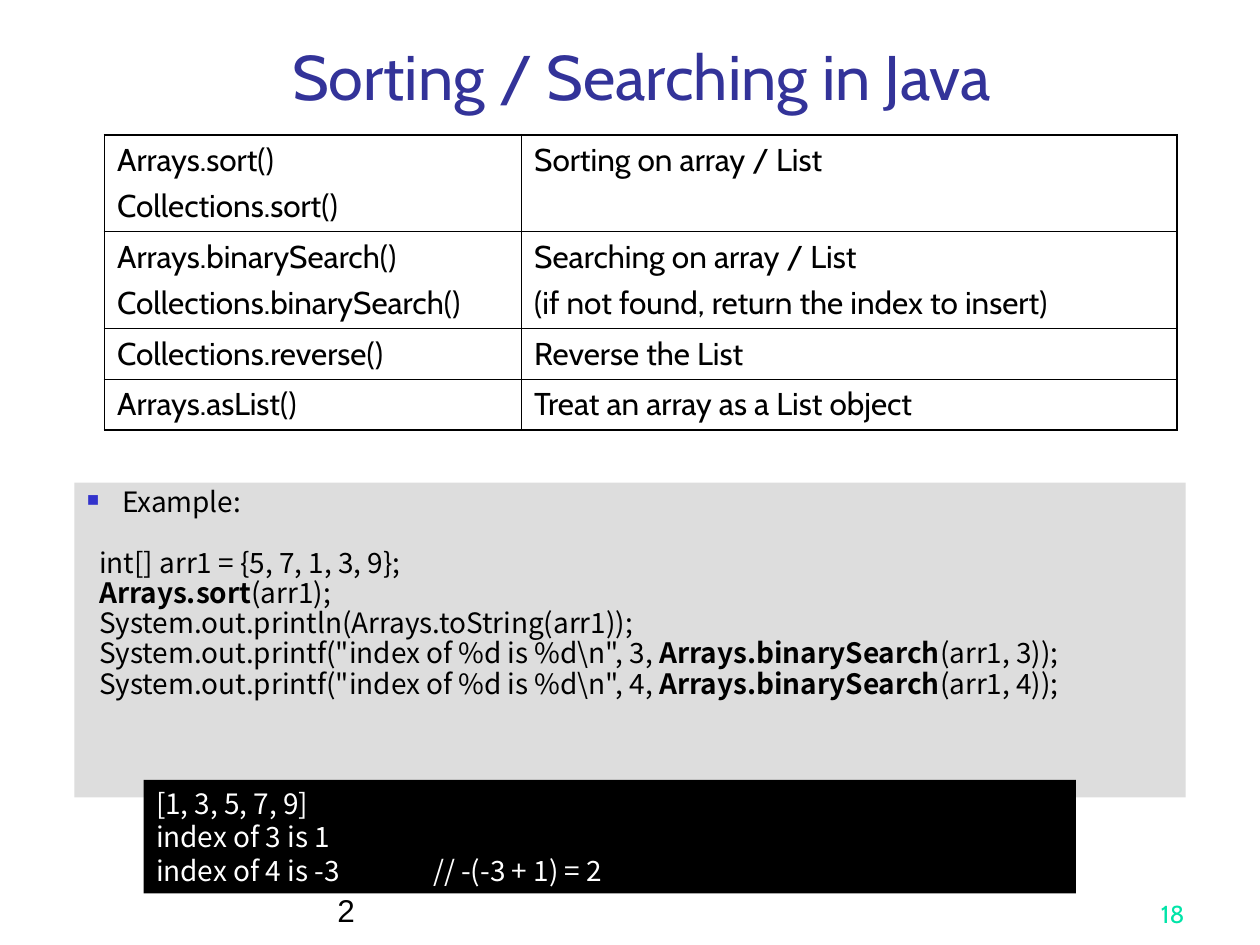
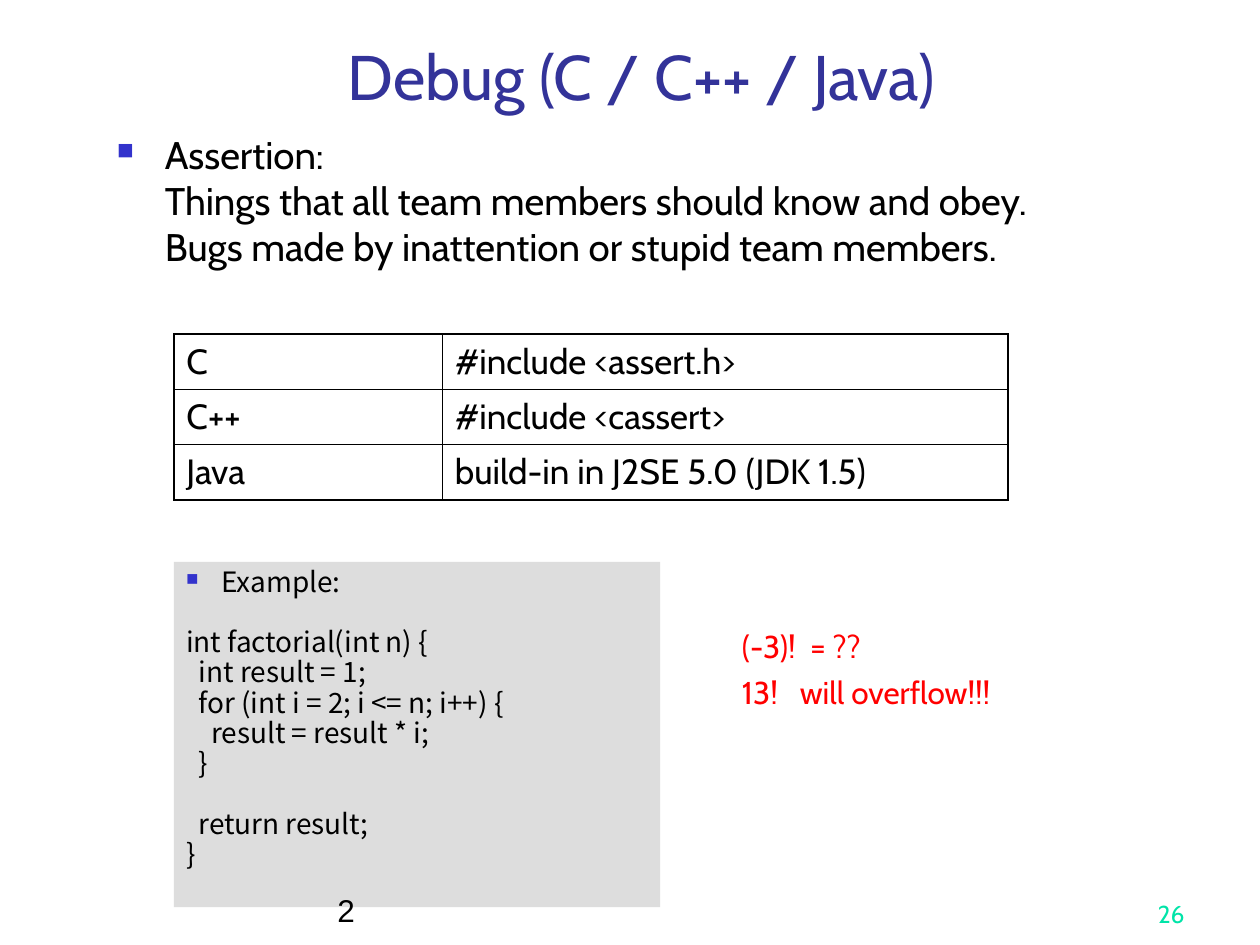
"""Build two slides on sorting, searching and assertions in Java."""
import pptx
import pptx.dml.color
import pptx.enum.shapes
import pptx.enum.text
import pptx.oxml.ns
import pptx.util
from lxml import etree

Inches = pptx.util.Inches
Pt = pptx.util.Pt
qn = pptx.oxml.ns.qn
ALIGN = pptx.enum.text.PP_ALIGN
ANCHOR = pptx.enum.text.MSO_ANCHOR

COLORS = {
    "title": "333399", "text": "000000", "bullet": "3333CC", "code_panel": "DDDDDD",
    "console": "000000", "console_text": "FFFFFF", "warning": "FF0000", "page": "00E4A8",
}
BODY_FONT, CODE_FONT, FOOTER_FONT = "Cabin", "Noto Sans CJK SC", "Arial"
CODE_SIZE = 16
BLANK_LINE = 17.3
OUTER_BORDER, INNER_BORDER = 1.08, 0.45

SORTING = {
    "title": "Sorting / Searching in Java",
    "page": "18",
    "table": {
        "place": (0.83, 1.07), "columns": (3.31, 5.2), "rows": (0.77, 0.77, 0.4, 0.4),
        "size": 18, "gap": 4.5,
        "cells": [
            (["Arrays.sort()", "Collections.sort()"], ["Sorting on array / List"]),
            (["Arrays.binarySearch()", "Collections.binarySearch()"],
             ["Searching on array / List", "(if not found, return the index to insert)"]),
            (["Collections.reverse()"], ["Reverse the List"]),
            (["Arrays.asList()"], ["Treat an array as a List object"]),
        ],
    },
    "code_place": (0.59, 3.83, 8.82, 2.5),
    "code": [
        "  int[] arr1 = {5, 7, 1, 3, 9};",
        "  **Arrays.sort**(arr1);",
        "  System.out.println(Arrays.toString(arr1));",
        '  System.out.printf("index of %d is %d\\n", 3, **Arrays.binarySearch**(arr1, 3));',
        '  System.out.printf("index of %d is %d\\n", 4, **Arrays.binarySearch**(arr1, 4));',
    ],
}
CONSOLE_LINES = ["[1, 3, 5, 7, 9]", "index of 3 is 1", "index of 4 is -3\t// -(-3 + 1) = 2"]

DEBUG = {
    "title": "Debug (C / C++ / Java)",
    "page": "26",
    "table": {
        "place": (1.38, 2.65), "columns": (2.13, 4.49), "rows": (0.44, 0.44, 0.44),
        "size": 20, "gap": 5,
        "cells": [
            (["C"], ["#include <assert.h>"]),
            (["C++"], ["#include <cassert>"]),
            (["Java"], ["build-in in J2SE 5.0 (JDK 1.5)"]),
        ],
    },
    "code_place": (1.38, 4.46, 3.86, 2.74),
    "code": [
        "int factorial(int n) {",
        "  int result = 1;",
        "  for (int i = 2; i <= n; i++) {",
        "    result = result * i;",
        "  }",
        "",
        "  return result;",
        "}",
    ],
}
ASSERTION = ("Assertion:\vThings that all team members should know and obey.\v"
             "Bugs made by inattention or stupid team members.")
WARNINGS = [("(-3)!\t= ??", 0.54), ("13!\twill overflow!!!", 0.46)]


def rgb(name):
    """Return the named colour."""
    return pptx.dml.color.RGBColor.from_string(COLORS[name])


def add_bullet(paragraph, indent):
    """Give a paragraph a square bullet with a hanging indent."""
    properties = paragraph._p.get_or_add_pPr()
    properties.set("marL", str(Inches(indent)))
    properties.set("indent", str(-Inches(indent)))
    color = etree.SubElement(properties, qn("a:buClr"))
    etree.SubElement(color, qn("a:srgbClr"), val=COLORS["bullet"])
    etree.SubElement(properties, qn("a:buSzPct"), val="60000")
    etree.SubElement(properties, qn("a:buChar"), char="■")


def add_tab(paragraph, position):
    """Set a left tab stop in a paragraph."""
    stops = etree.SubElement(paragraph._p.get_or_add_pPr(), qn("a:tabLst"))
    etree.SubElement(stops, qn("a:tab"), pos=str(Inches(position)), algn="l")


def write(frame, text, *, size, font=BODY_FONT, color="text", align=ALIGN.LEFT,
          before=0, spacing=None, bullet=None, tab=None):
    """Append one paragraph, with the parts between double stars in bold."""
    first = frame.paragraphs[0]
    is_first = not first.runs
    paragraph = first if is_first else frame.add_paragraph()
    if bullet:
        add_bullet(paragraph, bullet)
    if tab:
        add_tab(paragraph, tab)
    paragraph.alignment = align
    if before and not is_first:
        paragraph.space_before = Pt(before)
    if spacing:
        paragraph.line_spacing = spacing
    for position, part in enumerate(text.split("**")):
        for line_number, line in enumerate(part.split("\v")):
            if line_number:
                paragraph.add_line_break()
            if not line:
                continue
            run = paragraph.add_run()
            run.text = line
            run.font.size = Pt(size)
            run.font.name = font
            run.font.bold = position % 2 == 1
            run.font.color.rgb = rgb(color)


def add_frame(slide, place, fill=None, anchor=ANCHOR.TOP):
    """Add a text box, or a filled rectangle, and return its text frame."""
    box = [Inches(length) for length in place]
    if fill:
        shape = slide.shapes.add_shape(pptx.enum.shapes.MSO_SHAPE.RECTANGLE, *box)
        shape.shadow.inherit = False
        shape.fill.solid()
        shape.fill.fore_color.rgb = rgb(fill)
        shape.line.fill.background()
    else:
        shape = slide.shapes.add_textbox(*box)
    frame = shape.text_frame
    frame.word_wrap = True
    frame.vertical_anchor = anchor
    return frame


def set_borders(cell, widths):
    """Draw the left, right, top and bottom borders of a cell."""
    properties = cell._tc.get_or_add_tcPr()
    for index, (side, width) in enumerate(zip(("lnL", "lnR", "lnT", "lnB"), widths)):
        line = etree.Element(qn("a:" + side), w=str(Pt(width)))
        fill = etree.SubElement(line, qn("a:solidFill"))
        etree.SubElement(fill, qn("a:srgbClr"), val=COLORS["text"])
        properties.insert(index, line)


def add_grid(slide, content):
    """Add a plain table with heavier outer borders."""
    columns, rows = content["columns"], content["rows"]
    box = [Inches(length) for length in (*content["place"], sum(columns), sum(rows))]
    table = slide.shapes.add_table(len(rows), len(columns), *box).table
    table.first_row = table.horz_banding = False
    for column, width in zip(table.columns, columns):
        column.width = Inches(width)
    for row, height in zip(table.rows, rows):
        row.height = Inches(height)
    for row_index, row_cells in enumerate(content["cells"]):
        for column_index, lines in enumerate(row_cells):
            cell = table.cell(row_index, column_index)
            cell.fill.background()
            edges = (column_index == 0, column_index == len(columns) - 1,
                     row_index == 0, row_index == len(rows) - 1)
            set_borders(cell, [OUTER_BORDER if edge else INNER_BORDER for edge in edges])
            for line in lines:
                write(cell.text_frame, line, size=content["size"], before=content["gap"])


def add_code(slide, place, lines):
    """Add a grey panel with an example heading and code."""
    frame = add_frame(slide, place, fill="code_panel")
    style = {"size": CODE_SIZE, "font": CODE_FONT, "spacing": 0.9}
    write(frame, "Example:", bullet=0.28, **style)
    gap = BLANK_LINE
    for line in lines:
        if line:
            write(frame, line, before=gap, **style)
        gap = 0 if line else BLANK_LINE


def add_slide(presentation, content):
    """Add a slide with its title, table, code panel and footers."""
    slide = presentation.slides.add_slide(presentation.slide_layouts[6])
    title = add_frame(slide, (0.83, 0.21, 8.52, 0.74), anchor=ANCHOR.BOTTOM)
    write(title, content["title"], size=36, color="title", align=ALIGN.CENTER)
    add_grid(slide, content["table"])
    add_code(slide, content["code_place"], content["code"])
    footer = add_frame(slide, (2.58, 6.92, 5.42, 0.5), anchor=ANCHOR.BOTTOM)
    write(footer, "2", size=18, font=FOOTER_FONT)
    page = add_frame(slide, (7.42, 6.92, 2.08, 0.5), anchor=ANCHOR.BOTTOM)
    write(page, content["page"], size=14, color="page", align=ALIGN.RIGHT)
    return slide


def main():
    """Build and save the presentation."""
    presentation = pptx.Presentation()
    presentation.slide_width, presentation.slide_height = Inches(10), Inches(7.5)

    sorting = add_slide(presentation, SORTING)
    console = add_frame(sorting, (1.14, 6.19, 7.4, 0.9), fill="console")
    for line in CONSOLE_LINES:
        write(console, line, size=CODE_SIZE, font=CODE_FONT, color="console_text",
              tab=2.2 if "\t" in line else None)

    debug = add_slide(presentation, DEBUG)
    assertion = add_frame(debug, (0.83, 0.99, 8.5, 1.5))
    write(assertion, ASSERTION, size=22, bullet=0.38)
    warnings = add_frame(debug, (5.79, 4.93, 2.68, 0.87))
    for text, tab in WARNINGS:
        write(warnings, text, size=18, color="warning", before=4.5, tab=tab)

    presentation.save("out.pptx")


if __name__ == "__main__":
    main()
